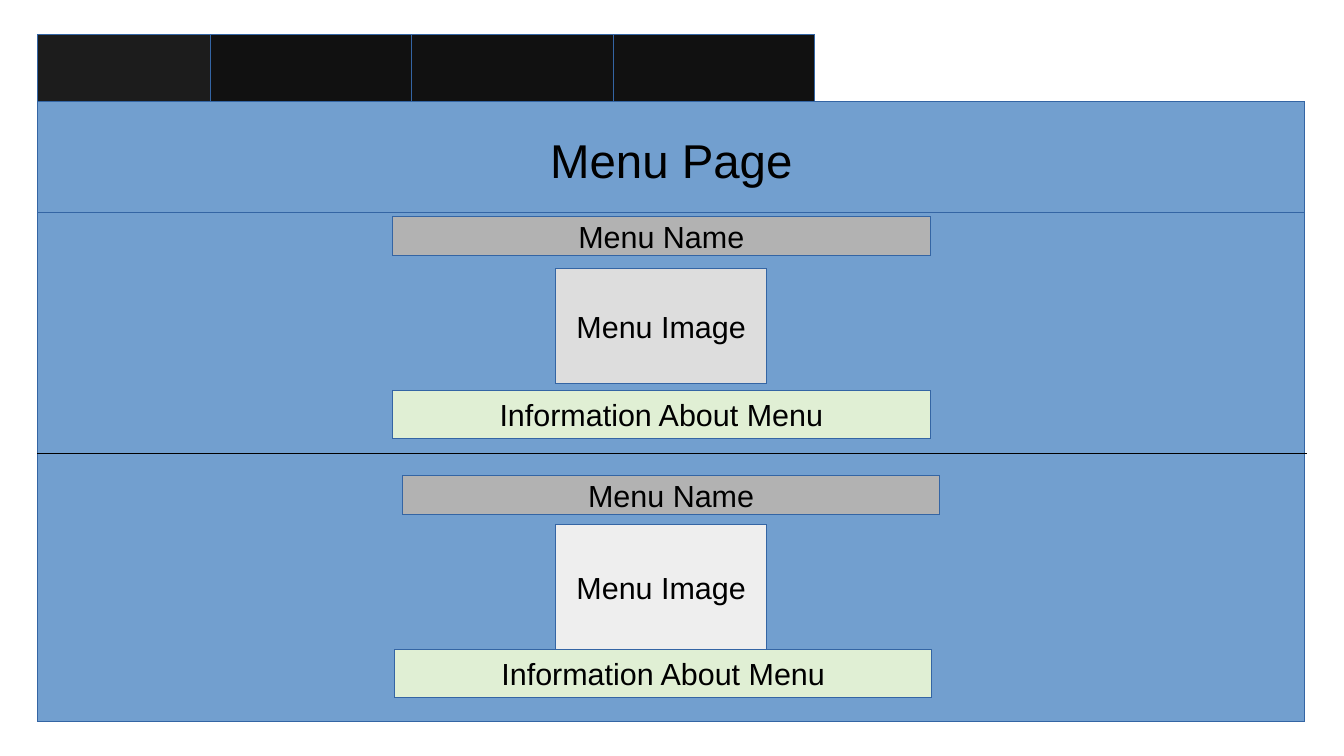
from lxml import etree
from pptx import Presentation
from pptx.dml.color import RGBColor
from pptx.enum.shapes import MSO_CONNECTOR, MSO_SHAPE
from pptx.enum.text import MSO_ANCHOR, MSO_AUTO_SIZE, PP_ALIGN
from pptx.oxml.ns import qn
from pptx.util import Pt

BLACK = RGBColor(0x00, 0x00, 0x00)
HOME_TAB = RGBColor(0x1C, 0x1C, 0x1C)
OTHER_TAB = RGBColor(0x11, 0x11, 0x11)
PAGE_BLUE = RGBColor(0x72, 0x9F, 0xCF)
BORDER_BLUE = RGBColor(0x34, 0x65, 0xA4)
NAME_GREY = RGBColor(0xB2, 0xB2, 0xB2)
IMAGE_GREY = RGBColor(0xDD, 0xDD, 0xDD)
IMAGE_PALE = RGBColor(0xEE, 0xEE, 0xEE)
INFO_GREEN = RGBColor(0xE0, 0xEF, 0xD4)

PAGE_LEFT, PAGE_WIDTH = 22.3, 748.2
HAIRLINE = Pt(0.01)


def style_box(box, fill, text="", size=18):
    box.fill.solid()
    box.fill.fore_color.rgb = fill
    box.line.color.rgb = BORDER_BLUE
    box.line.width = HAIRLINE
    if not text:
        return
    frame = box.text_frame
    frame.word_wrap = False
    frame.auto_size = MSO_AUTO_SIZE.NONE
    frame.vertical_anchor = MSO_ANCHOR.MIDDLE
    para = frame.paragraphs[0]
    para.text = text
    para.alignment = PP_ALIGN.CENTER
    para.font.name = "Arial"
    para.font.size = Pt(size)
    para.font.color.rgb = BLACK


def add_box(left, top, width, height, fill, text=""):
    box = page.shapes.add_shape(
        MSO_SHAPE.RECTANGLE, Pt(left), Pt(top), Pt(width), Pt(height))
    box.shadow.inherit = False
    style_box(box, fill, text)


deck = Presentation()
deck.slide_width, deck.slide_height = Pt(793.7), Pt(446.4)
page = deck.slides.add_slide(deck.slide_layouts[5])

# Title banner
title = page.shapes.title
title.left, title.top = Pt(PAGE_LEFT), Pt(60)
title.width, title.height = Pt(PAGE_WIDTH), Pt(68)
style_box(title, PAGE_BLUE, "Menu Page", 28)

# Navigation tabs
tabs = [
    (PAGE_LEFT, 101.9, HOME_TAB),
    (124.2, 124.6, OTHER_TAB),
    (243.1, 119.1, OTHER_TAB),
    (362.2, 118.9, OTHER_TAB),
]
for left, width, fill in tabs:
    add_box(left, 20.3, width, 39.7, fill)

# Page body and the divider between its two entries
add_box(PAGE_LEFT, 125.7, PAGE_WIDTH, 300.5, PAGE_BLUE)
divider = page.shapes.add_connector(
    MSO_CONNECTOR.STRAIGHT, Pt(PAGE_LEFT), Pt(267.8), Pt(771.8), Pt(267.8))
divider.line.color.rgb = BLACK
divider.line.width = HAIRLINE
etree.SubElement(divider.element.spPr, qn("a:effectLst"))

# Menu entries: (left, top) of name, (top, height, fill) of image, (left, top) of information
entries = [
    ((231.8, 128), (158.4, 68, IMAGE_GREY), (231.8, 230.5)),
    ((237.6, 280.8), (309.6, 73.9, IMAGE_PALE), (232.9, 383.5)),
]
for name_at, (image_top, image_height, image_fill), info_at in entries:
    add_box(328.2, image_top, 124.6, image_height, image_fill, "Menu Image")
    add_box(*name_at, 317.5, 22.9, NAME_GREY, "Menu Name")
    add_box(*info_at, 317.5, 28.3, INFO_GREEN, "Information About Menu")

deck.save("out.pptx")
